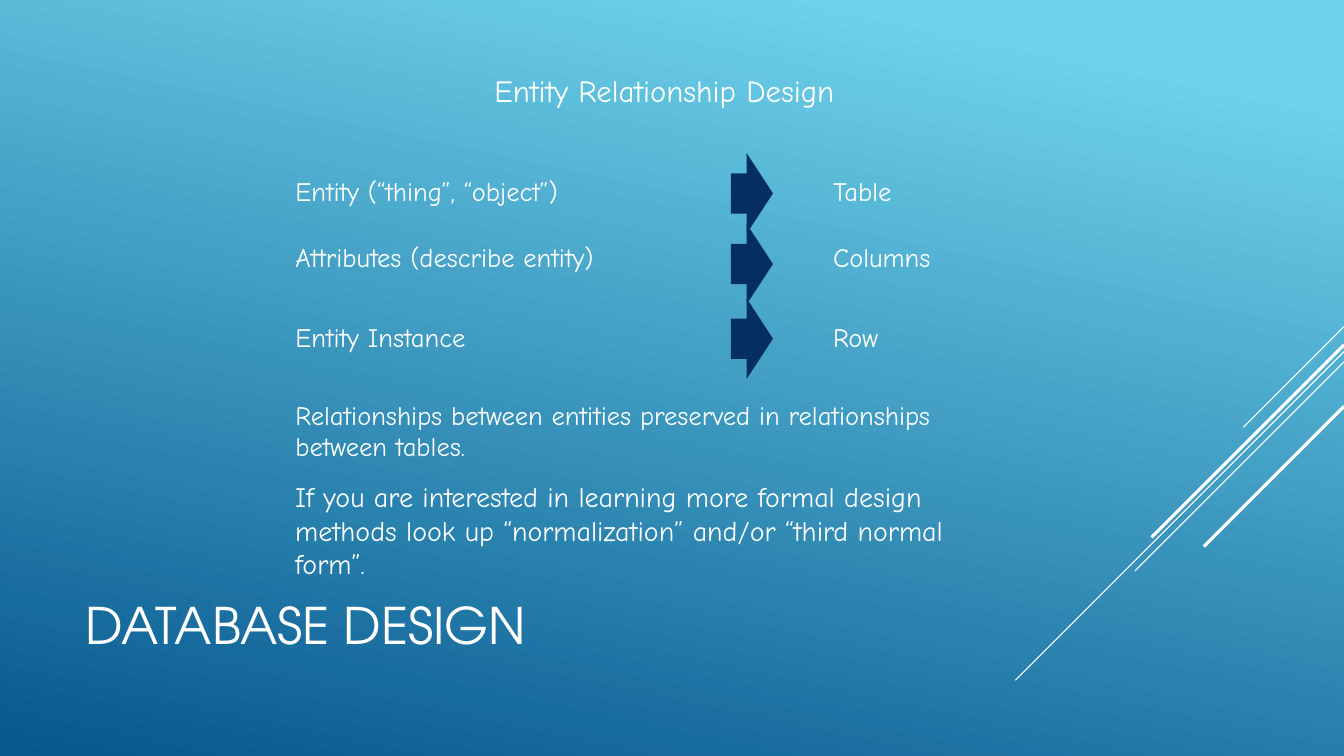
import pptx
import pptx.dml.color
import pptx.enum.shapes
import pptx.enum.text
import pptx.oxml.ns
import pptx.util
from lxml import etree

Cm = pptx.util.Cm
Pt = pptx.util.Pt
ALIGN = pptx.enum.text.PP_ALIGN
ANCHOR = pptx.enum.text.MSO_ANCHOR

COLORS = {"sky": "6ED2EB", "deep": "06588E", "white": "FFFFFF", "navy": "052F61"}
HEADING_FONT = "TeX Gyre Adventor"
BODY_FONT = "Comic Neue"
PLAIN_TABLE_STYLE = "{2D5ABB26-0587-4C30-8999-92F81FD0307C}"
SLIDE_WIDTH = 33.87
SLIDE_HEIGHT = 19.05


def color(name):
    return pptx.dml.color.RGBColor.from_string(COLORS[name])


class SlideBuilder:
    def __init__(self, slide):
        self.slide = slide

    def background(self, angle, stops):
        fill = self.slide.background.fill
        fill.gradient()
        fill.gradient_angle = 360 - angle
        for stop, (position, name) in zip(fill.gradient_stops, stops):
            stop.position = position
            stop.color.rgb = color(name)

    def add_run(self, paragraph, text, size, font=BODY_FONT):
        run = paragraph.add_run()
        run.text = text
        run.font.size = Pt(size)
        run.font.name = font
        run.font.color.rgb = color("white")

    def text(self, box, text, size, font=BODY_FONT, align=ALIGN.LEFT, anchor=ANCHOR.TOP):
        frame = self.slide.shapes.add_textbox(*map(Cm, box)).text_frame
        frame.word_wrap = True
        frame.vertical_anchor = anchor
        paragraph = frame.paragraphs[0]
        paragraph.alignment = align
        self.add_run(paragraph, text, size, font)

    def diagonal(self, top, run, width):
        line = self.slide.shapes.add_connector(
            pptx.enum.shapes.MSO_CONNECTOR.STRAIGHT,
            Cm(SLIDE_WIDTH), Cm(top), Cm(SLIDE_WIDTH - run), Cm(top + run))
        line.line.color.rgb = color("white")
        line.line.width = Pt(width)
        etree.SubElement(line._element.spPr, pptx.oxml.ns.qn("a:effectLst"))

    def arrow(self, box):
        shape = self.slide.shapes.add_shape(
            pptx.enum.shapes.MSO_SHAPE.RIGHT_ARROW, *map(Cm, box))
        shape.adjustments[0] = 0.5
        shape.adjustments[1] = 0.625
        shape.shadow.inherit = False
        shape.fill.solid()
        shape.fill.fore_color.rgb = color("navy")
        shape.line.fill.background()

    def table(self, box, widths, heights, rows, size):
        frame = self.slide.shapes.add_table(len(rows), len(widths), *map(Cm, box))
        table = frame.table
        table.first_row = False
        table.horz_banding = False
        style = table._tbl.tblPr.find(pptx.oxml.ns.qn("a:tableStyleId"))
        style.text = PLAIN_TABLE_STYLE
        for column, width in zip(table.columns, widths):
            column.width = Cm(width)
        for row, height in zip(table.rows, heights):
            row.height = Cm(height)
        for row, texts in zip(table.rows, rows):
            for cell, text in zip(row.cells, texts):
                cell.fill.background()
                if text:
                    paragraph = cell.text_frame.paragraphs[0]
                    paragraph.space_before = Pt(size * 0.2)
                    self.add_run(paragraph, text, size)
            if len(texts) == 1:
                row.cells[0].merge(row.cells[len(widths) - 1])


def main():
    presentation = pptx.Presentation()
    presentation.slide_width = Cm(SLIDE_WIDTH)
    presentation.slide_height = Cm(SLIDE_HEIGHT)
    builder = SlideBuilder(presentation.slides.add_slide(presentation.slide_layouts[6]))

    builder.background(102, [(0.1, "sky"), (1, "deep")])
    for top, run, width in [(8.23, 2.54, 0.75), (8.86, 8.28, 0.75), (9.12, 5.27, 0.75),
                            (8.69, 4.85, 2.25), (10.24, 3.53, 2.25)]:
        builder.diagonal(top, run, width)

    builder.text((1.9, 13.64, 23.7, 4.19), "DATABASE DESIGN", 36,
                 font=HEADING_FONT, anchor=ANCHOR.MIDDLE)
    builder.text((4.04, 1.68, 25.4, 1.19), "Entity Relationship Design", 22,
                 align=ALIGN.CENTER)
    builder.table(
        (7.19, 4.34, 18.42, 7.62), [9.95, 3.6, 4.87], [1.68, 2, 1.98, 1.96],
        [("Entity (“thing”, “object”)", "", "Table"),
         ("Attributes (describe entity)", "", "Columns"),
         ("Entity Instance", "", "Row"),
         ("Relationships between entities preserved in relationships between tables.",)],
        19)
    for top in (3.86, 5.64, 7.52):
        builder.arrow((18.42, top, 1.06, 2.03))
    builder.text(
        (7.19, 11.96, 18.42, 2.79),
        "If you are interested in learning more formal design methods look up "
        "“normalization” and/or “third normal form”.", 20)

    presentation.save("out.pptx")


if __name__ == "__main__":
    main()
